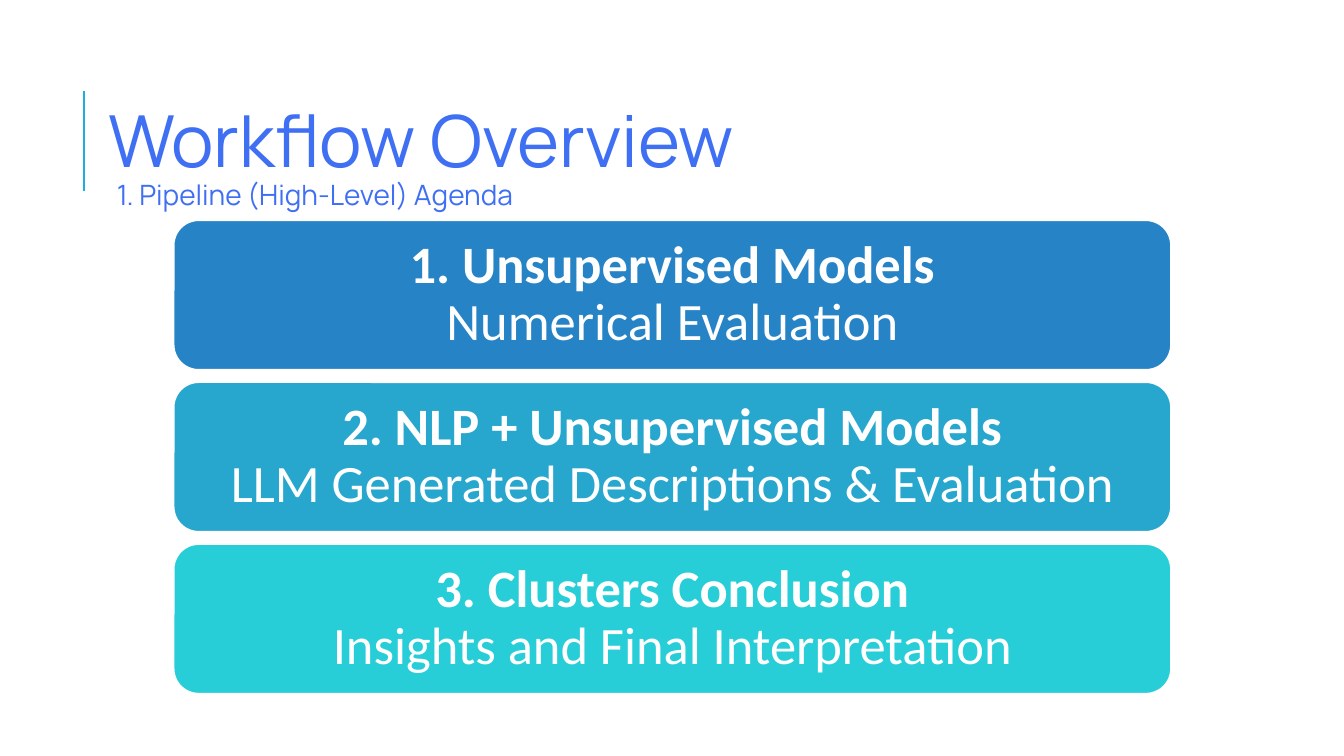
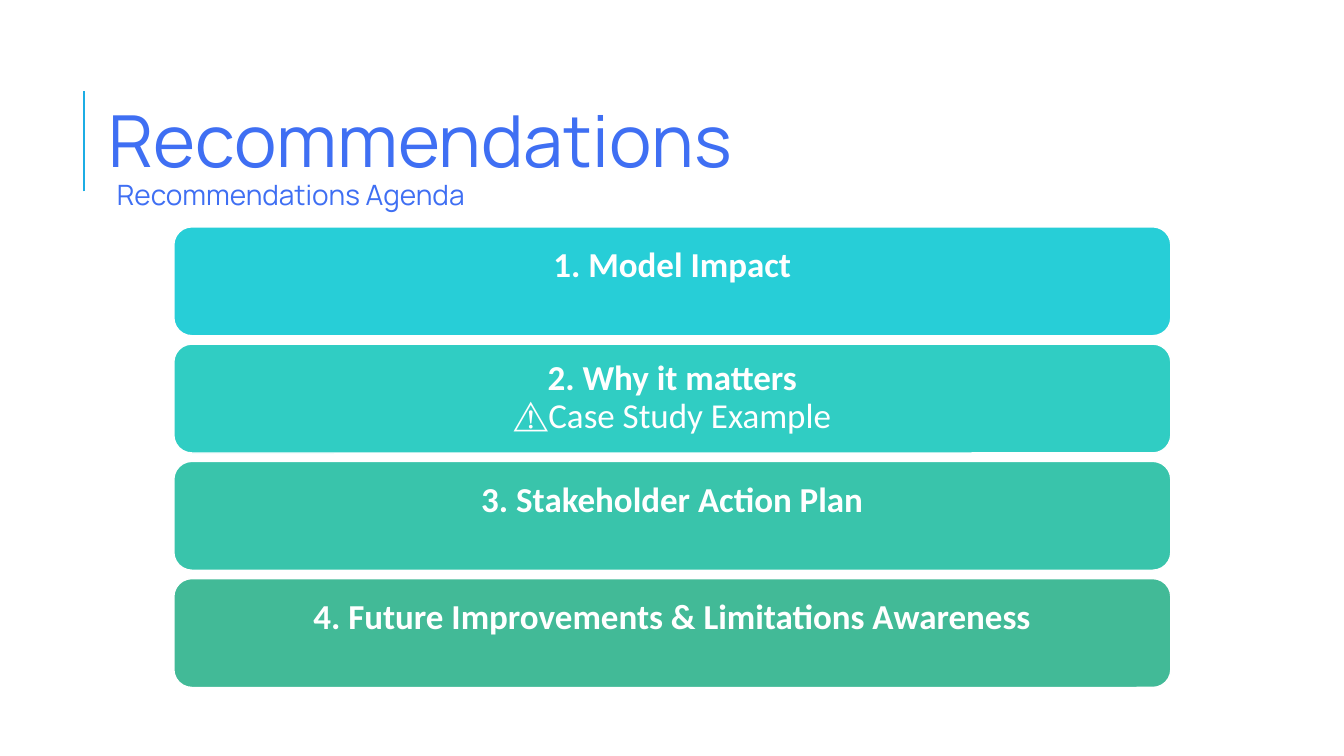
"""Build two agenda slides with a shared heading and stacked cards."""
from dataclasses import dataclass

from lxml.etree import SubElement
from pptx import Presentation
from pptx.dml.color import RGBColor
from pptx.enum.shapes import MSO_CONNECTOR, MSO_SHAPE
from pptx.enum.text import MSO_ANCHOR, MSO_AUTO_SIZE, PP_ALIGN
from pptx.oxml.ns import qn
from pptx.slide import Slide
from pptx.text.text import TextFrame, _Paragraph
from pptx.util import Pt

COLORS = {
    "heading": "3F6FF3",
    "accent": "1CADE4",
    "white": "FFFFFF",
    "blue": "2683C6",
    "sky": "27A7CE",
    "cyan": "27CED7",
    "turquoise": "30CDC3",
    "teal": "39C4AB",
    "green": "42BA97",
}
HEADING_FONT = "Manrope"
CARD_FONT = "Calibri"
HEADING_LEFT = 92.88
CARD_LEFT = 149
CARD_WIDTH = 854.64


@dataclass(frozen=True)
class Card:
    label: str
    color: str
    detail: str = ""


@dataclass(frozen=True)
class CardStack:
    top: float
    height: float
    gap: float
    inset: float
    font_size: float
    cards: tuple[Card, ...]


@dataclass(frozen=True)
class Agenda:
    title: str
    subtitle: str
    stack: CardStack


AGENDAS = (
    Agenda("Workflow Overview", "1. Pipeline (High-Level) Agenda", CardStack(
        top=188.9, height=128, gap=10.8, inset=20, font_size=45, cards=(
            Card("1. Unsupervised Models", "blue", "Numerical Evaluation"),
            Card("2. NLP + Unsupervised Models", "sky",
                 "LLM Generated Descriptions & Evaluation"),
            Card("3. Clusters Conclusion", "cyan",
                 "Insights and Final Interpretation"),
        ))),
    Agenda("Recommendations", "Recommendations Agenda", CardStack(
        top=194.4, height=93.4, gap=7.1, inset=13, font_size=30, cards=(
            Card("1. Model Impact", "cyan"),
            Card("2. Why it matters", "turquoise", "⚠️Case Study Example"),
            Card("3. Stakeholder Action Plan", "teal"),
            Card("4. Future Improvements & Limitations Awareness", "green"),
        ))),
)


def rgb(name: str) -> RGBColor:
    return RGBColor.from_string(COLORS[name])


def set_margins(frame: TextFrame, horizontal: float, vertical: float) -> None:
    frame.margin_left = frame.margin_right = Pt(horizontal)
    frame.margin_top = frame.margin_bottom = Pt(vertical)


def add_run(paragraph: _Paragraph, text: str, font_name: str, size: float,
            color: str, bold: bool = False) -> None:
    run = paragraph.add_run()
    run.text = text
    run.font.name = font_name
    run.font.size = Pt(size)
    run.font.bold = bold
    run.font.color.rgb = rgb(color)


def fill_heading(slide: Slide, index: int, text: str, top: float, width: float,
                 height: float, size: float, line_spacing: float) -> TextFrame:
    placeholder = slide.placeholders[index]
    placeholder.left, placeholder.top = Pt(HEADING_LEFT), Pt(top)
    placeholder.width, placeholder.height = Pt(width), Pt(height)
    frame = placeholder.text_frame
    frame.auto_size = MSO_AUTO_SIZE.NONE
    frame.vertical_anchor = MSO_ANCHOR.TOP
    paragraph = frame.paragraphs[0]
    paragraph.alignment = PP_ALIGN.LEFT
    paragraph.line_spacing = Pt(line_spacing)
    paragraph.space_before = Pt(0)
    properties = paragraph._p.get_or_add_pPr()
    properties.set("marL", "0")
    properties.set("indent", "0")
    SubElement(properties, qn("a:buNone"))
    add_run(paragraph, text, HEADING_FONT, size, "heading")
    return frame


def draw_heading(slide: Slide, agenda: Agenda) -> None:
    accent = slide.shapes.add_connector(
        MSO_CONNECTOR.STRAIGHT, Pt(72), Pt(164), Pt(72), Pt(78))
    accent.line.color.rgb = rgb("accent")
    accent.line.width = Pt(1.5)
    SubElement(accent._element.spPr, qn("a:effectLst"))
    title_frame = fill_heading(slide, 0, agenda.title, 78.48, 594.72, 77.04, 61.5, 77)
    title_frame.word_wrap = False
    set_margins(title_frame, 0, 0)
    subtitle_frame = fill_heading(slide, 1, agenda.subtitle, 144, 576, 38.16, 24, 33)
    subtitle_frame.word_wrap = True
    set_margins(subtitle_frame, 7.2, 3.6)


def draw_card(slide: Slide, card: Card, stack: CardStack, top: float) -> None:
    shape = slide.shapes.add_shape(
        MSO_SHAPE.ROUNDED_RECTANGLE, Pt(CARD_LEFT), Pt(top),
        Pt(CARD_WIDTH), Pt(stack.height))
    shape.shadow.inherit = False
    shape.fill.solid()
    shape.fill.fore_color.rgb = rgb(card.color)
    shape.line.color.rgb = rgb("white")
    shape.line.width = Pt(1.25)
    frame = shape.text_frame
    frame.word_wrap = True
    frame.vertical_anchor = MSO_ANCHOR.MIDDLE if card.detail else MSO_ANCHOR.TOP
    set_margins(frame, stack.inset, stack.inset)
    paragraph = frame.paragraphs[0]
    paragraph.alignment = PP_ALIGN.CENTER
    paragraph.line_spacing = 0.9
    add_run(paragraph, card.label, CARD_FONT, stack.font_size, "white", bold=True)
    if card.detail:
        paragraph.add_line_break()
        add_run(paragraph, card.detail, CARD_FONT, stack.font_size, "white")


def draw_stack(slide: Slide, stack: CardStack) -> None:
    for row, card in enumerate(stack.cards):
        draw_card(slide, card, stack, stack.top + row * (stack.height + stack.gap))


def main() -> None:
    presentation = Presentation()
    presentation.slide_width, presentation.slide_height = Pt(1152), Pt(648)
    for agenda in AGENDAS:
        slide = presentation.slides.add_slide(presentation.slide_layouts[1])
        draw_heading(slide, agenda)
        draw_stack(slide, agenda.stack)
    presentation.save("out.pptx")


if __name__ == "__main__":
    main()
